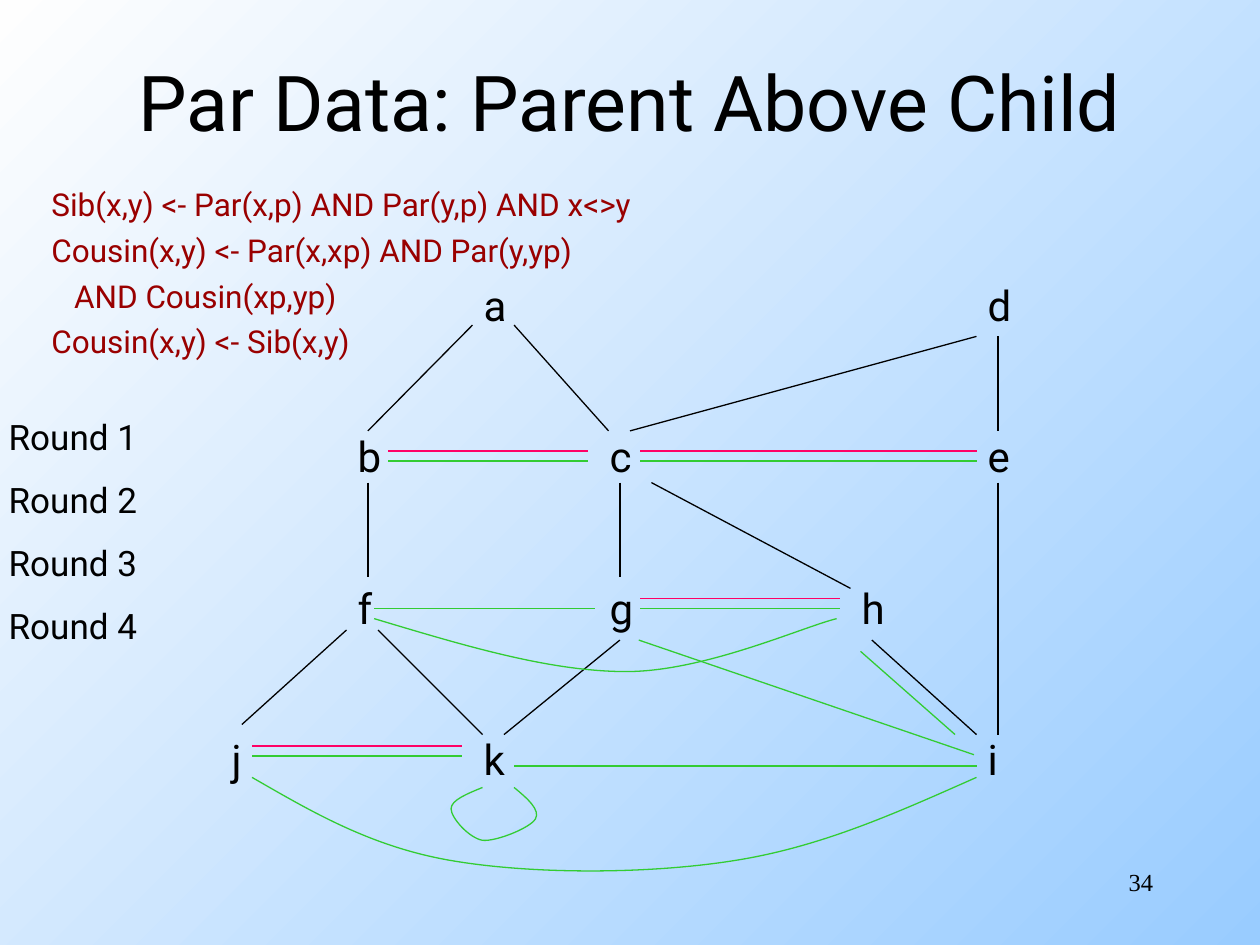
from dataclasses import dataclass
from typing import NamedTuple

from lxml.etree import SubElement
from pptx import Presentation
from pptx.dml.color import RGBColor
from pptx.enum.text import MSO_ANCHOR, PP_ALIGN
from pptx.oxml.ns import qn
from pptx.util import Inches, Pt

Point = tuple[float, float]


@dataclass(frozen=True)
class Theme:
    """Colours, fonts and sizes of the slide."""
    ink: RGBColor = RGBColor(0x00, 0x00, 0x00)
    rule: RGBColor = RGBColor(0x99, 0x00, 0x00)
    sibling: RGBColor = RGBColor(0xFF, 0x00, 0x66)
    cousin: RGBColor = RGBColor(0x33, 0xCC, 0x33)
    sky: RGBColor = RGBColor(0x99, 0xCC, 0xFF)
    haze: RGBColor = RGBColor(0xFE, 0xFE, 0xFE)
    font: str = "Roboto"
    number_font: str = "Times New Roman"
    title_size: int = 44
    node_size: int = 24
    round_size: int = 20
    rule_size: int = 18
    number_size: int = 14
    line_width: float = 0.74


class Edge(NamedTuple):
    """A straight link, in inches."""
    start: Point
    end: Point


class Curve(NamedTuple):
    """A chain of cubic curves: a start, then three points per curve."""
    points: list[Point]


class Round(NamedTuple):
    """The facts that one round of evaluation adds."""
    number: int
    color: RGBColor
    edges: list[Edge]
    curves: list[Curve]


THEME = Theme()

RULES = [
    ("Sib(x,y) <- Par(x,p) AND Par(y,p) AND x<>y", 0),
    ("Cousin(x,y) <- Par(x,xp) AND Par(y,yp)", 0),
    ("AND Cousin(xp,yp)", 0.18),
    ("Cousin(x,y) <- Sib(x,y)", 0),
]

# Each generation maps a person to a tab column, one inch apart.
GENERATIONS = [
    {"a": 2, "d": 6},
    {"b": 1, "c": 3, "e": 6},
    {"f": 1, "g": 3, "h": 5},
    {"j": 0, "k": 2, "i": 6},
]

PARENT_EDGES = [
    Edge((3.75, 2.58), (2.92, 3.42)),
    Edge((4.08, 2.58), (4.83, 3.42)),
    Edge((7.92, 2.67), (7.92, 3.42)),
    Edge((7.75, 2.67), (5, 3.42)),
    Edge((2.92, 3.83), (2.92, 4.58)),
    Edge((4.92, 3.83), (4.92, 4.58)),
    Edge((5.17, 3.83), (6.75, 4.67)),
    Edge((2.75, 5), (1.92, 5.75)),
    Edge((3, 5), (3.83, 5.83)),
    Edge((4.92, 5.08), (4, 5.83)),
    Edge((6.92, 5.08), (7.75, 5.83)),
    Edge((7.92, 3.83), (7.92, 5.83)),
]

SIBLINGS = [
    Edge((3.08, 3.58), (4.67, 3.58)),
    Edge((5.08, 3.58), (7.75, 3.58)),
    Edge((2, 5.92), (3.67, 5.92)),
    Edge((5.08, 4.75), (6.67, 4.75)),
]
SIBLING_GAP = 0.08
SIBLING_COUSINS = [
    Edge((x1, y1 + SIBLING_GAP), (x2, y2 + SIBLING_GAP))
    for (x1, y1), (x2, y2) in SIBLINGS
]

ROUNDS = [
    Round(1, THEME.sibling, SIBLINGS, []),
    Round(2, THEME.cousin, SIBLING_COUSINS, []),
    Round(3, THEME.cousin, [
        Edge((6.83, 5.17), (7.58, 5.83)),
        Edge((2.97, 4.83), (4.72, 4.83)),
        Edge((5.07, 5.08), (7.73, 5.99)),
        Edge((4.08, 6.08), (7.75, 6.08)),
    ], [
        Curve([(2.97, 4.91), (3.67, 5.12), (4.36, 5.33), (4.97, 5.33),
               (5.59, 5.33), (6.36, 4.98), (6.64, 4.91)]),
    ]),
    Round(4, THEME.cousin, [], [
        Curve([(4.08, 6.25), (4.19, 6.34), (4.29, 6.43), (4.25, 6.5),
               (4.21, 6.57), (3.94, 6.68), (3.83, 6.67),
               (3.72, 6.65), (3.58, 6.49), (3.58, 6.42),
               (3.58, 6.35), (3.71, 6.3), (3.83, 6.25)]),
        Curve([(2, 6.17), (2.47, 6.44), (2.94, 6.72), (3.58, 6.83),
               (4.22, 6.94), (5.14, 6.94), (5.83, 6.83),
               (6.53, 6.72), (7.14, 6.44), (7.75, 6.17)]),
    ]),
]


def add_text(shapes, lines: list[str], left: float, top: float, width: float,
             height: float, size: int, color: RGBColor = THEME.ink,
             font: str = THEME.font, align: PP_ALIGN = PP_ALIGN.LEFT,
             space_before: float = 0, tab_count: int = 0):
    """Add a text box with one paragraph per line and return its frame."""
    frame = shapes.add_textbox(
        Inches(left), Inches(top), Inches(width), Inches(height)).text_frame
    frame.word_wrap = True
    frame.text = "\n".join(lines)
    for paragraph in frame.paragraphs:
        paragraph.alignment = align
        paragraph.space_before = Pt(space_before)
        if tab_count:
            tabs = SubElement(paragraph._p.get_or_add_pPr(), qn("a:tabLst"))
            for column in range(1, tab_count + 1):
                SubElement(tabs, qn("a:tab"), pos=str(Inches(column)), algn="l")
        paragraph.font.size = Pt(size)
        paragraph.font.name = font
        paragraph.font.color.rgb = color
    return frame


def add_edge(shapes, edge: Edge, color: RGBColor) -> None:
    """Draw one straight link without a shadow."""
    ends = [Inches(value) for value in (*edge.start, *edge.end)]
    connector = shapes.add_connector(1, *ends)
    connector.line.color.rgb = color
    connector.line.width = Pt(THEME.line_width)
    SubElement(connector.element.spPr, qn("a:effectLst"))


def add_curve(shapes, curve: Curve, color: RGBColor) -> None:
    """Draw an open outline whose segments become cubic curves."""
    start, *rest = [(Inches(x), Inches(y)) for x, y in curve.points]
    builder = shapes.build_freeform(*start)
    builder.add_line_segments(rest, close=False)
    shape = builder.convert_to_shape()
    shape.shadow.inherit = False
    shape.fill.background()
    shape.line.color.rgb = color
    shape.line.width = Pt(THEME.line_width)
    outline = shape.element.xpath(".//a:path")[0]
    segments = outline.findall(qn("a:lnTo"))
    for first in range(0, len(segments), 3):
        cubic = SubElement(outline, qn("a:cubicBezTo"))
        for segment in segments[first:first + 3]:
            cubic.append(segment[0])
            outline.remove(segment)


def add_round(slide, step: Round) -> None:
    """Group a round's label with the links found in it."""
    shapes = slide.shapes.add_group_shape().shapes
    add_text(shapes, [f"Round {step.number}"], -0.03, 2.75 + 0.5 * step.number,
             1.29, 0.44, THEME.round_size)
    for edge in step.edges:
        add_edge(shapes, edge, step.color)
    for curve in step.curves:
        add_curve(shapes, curve, step.color)


def generation_line(columns: dict[str, int]) -> str:
    """Place each person of a generation at its tab column."""
    line = ""
    for person, column in columns.items():
        line += "\t" * (column - line.count("\t")) + person
    return line


def paint_background(slide) -> None:
    """Fill the background with a diagonal gradient."""
    fill = slide.background.fill
    fill.gradient()
    fill.gradient_angle = 135
    for stop, color in zip(fill.gradient_stops, (THEME.sky, THEME.haze)):
        stop.color.rgb = color


def main() -> None:
    """Build and save the slide."""
    deck = Presentation()
    deck.slide_width, deck.slide_height = Inches(10), Inches(7.5)
    slide = deck.slides.add_slide(deck.slide_layouts[6])
    paint_background(slide)
    title = add_text(slide.shapes, ["Par Data: Parent Above Child"], 0.75, 0.17,
                     8.5, 1.25, THEME.title_size, align=PP_ALIGN.CENTER)
    title.vertical_anchor = MSO_ANCHOR.MIDDLE
    family = add_text(slide.shapes, [generation_line(g) for g in GENERATIONS], 1.74,
                      2.17, 6.4, 4.1, THEME.node_size, space_before=57.7, tab_count=6)
    family.paragraphs[0].space_before = Pt(0)
    for edge in PARENT_EDGES:
        add_edge(slide.shapes, edge, THEME.ink)
    for step in ROUNDS:
        add_round(slide, step)
    rules = add_text(slide.shapes, [text for text, _ in RULES], 0.31, 1.42, 5.04,
                     1.79, THEME.rule_size, THEME.rule, space_before=4.5)
    for paragraph, (_, indent) in zip(rules.paragraphs, RULES):
        paragraph._p.get_or_add_pPr().set("marL", str(Inches(indent)))
    add_text(slide.shapes, ["34"], 7.17, 6.83, 2.08, 0.5, THEME.number_size,
             font=THEME.number_font, align=PP_ALIGN.RIGHT)
    deck.save("out.pptx")


main()
